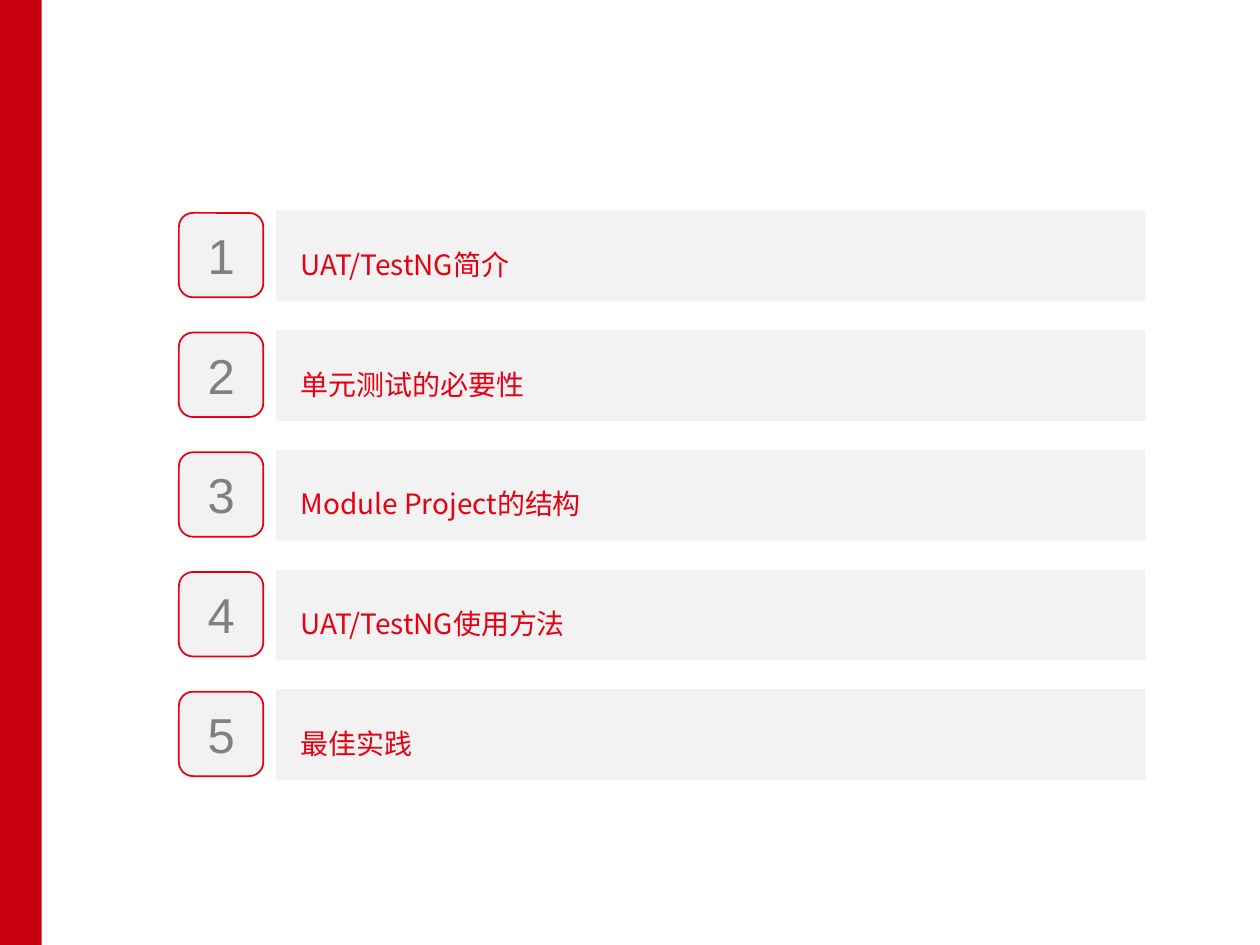
"""Build an agenda slide with five numbered topics."""
from lxml.etree import SubElement
from pptx import Presentation
from pptx.dml.color import RGBColor
from pptx.enum.shapes import MSO_SHAPE as Preset
from pptx.enum.text import MSO_ANCHOR as Anchor, MSO_AUTO_SIZE as AutoSize, PP_ALIGN as Align
from pptx.oxml.ns import qn
from pptx.util import Inches, Pt


def add_block(shapes, preset, left, top, width, height, fill, line=None):
    shape = shapes.add_shape(preset, Inches(left), Inches(top), Inches(width), Inches(height))
    shape.shadow.inherit = False
    shape.fill.solid()
    shape.fill.fore_color.rgb = RGBColor.from_string(fill)
    if line:
        shape.line.color.rgb = RGBColor.from_string(line)
        shape.line.width = Pt(1)
    else:
        shape.line.fill.background()
    return shape


def style_text(para, font, size, color):
    para.alignment = Align.LEFT
    for span in para.runs:
        span.font.name = font
        span.font.size = Pt(size)
        span.font.color.rgb = RGBColor.from_string(color)
        SubElement(span.font._element, qn("a:ea")).set("typeface", font)


RED, GREY, PALE = "E60012", "808080", "F2F2F2"
TOPICS = [
    "UAT/TestNG简介",
    "单元测试的必要性",
    "Module Project的结构",
    "UAT/TestNG使用方法",
    "最佳实践",
]
FIRST_TOP, PITCH = 1.67, 0.95

deck = Presentation()
deck.slide_width, deck.slide_height = Inches(10), Inches(7.5)
page = deck.slides.add_slide(deck.slide_layouts[6])

add_block(page.shapes, Preset.RECTANGLE, -0.01, 0, 0.34, 7.5, "C8000E")

for index, topic in enumerate(TOPICS):
    top = FIRST_TOP + index * PITCH
    row = page.shapes.add_group_shape()
    add_block(row.shapes, Preset.ROUNDED_RECTANGLE, 1.42, top + 0.02, 0.67, 0.67, PALE, RED)

    bar = add_block(row.shapes, Preset.RECTANGLE, 2.19, top, 6.9, 0.72, PALE)
    bar.text_frame.text = topic
    bar.text_frame.vertical_anchor = Anchor.MIDDLE
    para = bar.text_frame.paragraphs[0]
    para.line_spacing = 1.5
    para.space_after = Pt(5.6)
    para._p.get_or_add_pPr().set("marL", str(Inches(0.1)))
    style_text(para, "Noto Sans CJK SC", 16, RED)

    box = row.shapes.add_textbox(Inches(1.55), Inches(top + 0.07), Inches(0.42), Inches(0.57))
    box.text_frame.text = str(index + 1)
    box.text_frame.word_wrap = False
    box.text_frame.auto_size = AutoSize.SHAPE_TO_FIT_TEXT
    style_text(box.text_frame.paragraphs[0], "Arial", 28, GREY)

deck.save("out.pptx")
